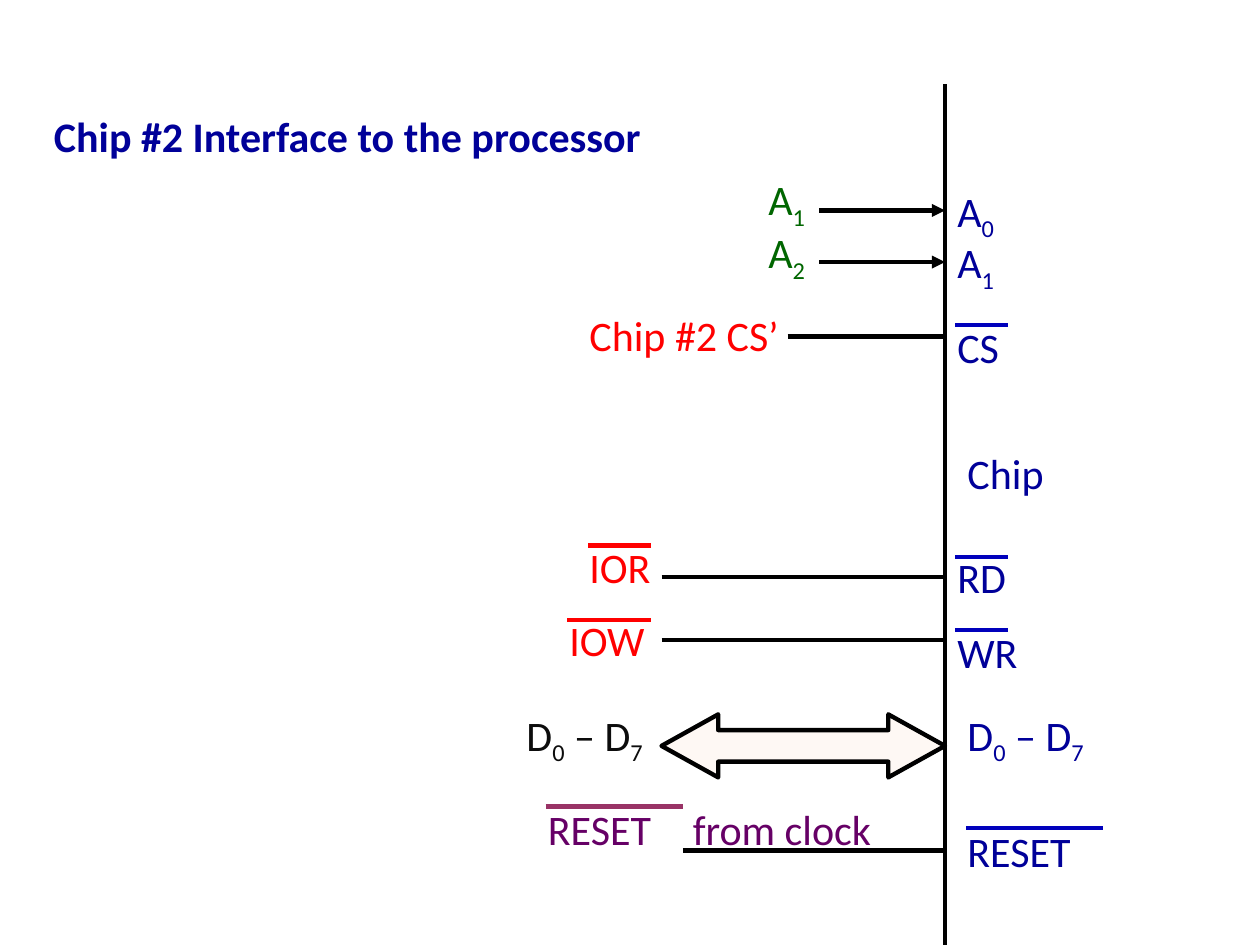
"""Build the slide on the chip #2 interface to the processor."""
from lxml import etree
from pptx import Presentation
from pptx.dml.color import RGBColor
from pptx.enum.shapes import MSO_CONNECTOR, MSO_SHAPE
from pptx.enum.text import MSO_AUTO_SIZE
from pptx.oxml.ns import qn
from pptx.util import Inches, Pt

STRAIGHT = MSO_CONNECTOR.STRAIGHT
LEFT_RIGHT_ARROW = MSO_SHAPE.LEFT_RIGHT_ARROW
FIT_TEXT = MSO_AUTO_SIZE.SHAPE_TO_FIT_TEXT

NAVY = RGBColor(0x00, 0x00, 0x99)
BLUE = RGBColor(0x00, 0x00, 0xBC)
GREEN = RGBColor(0x00, 0x66, 0x00)
RED = RGBColor(0xFF, 0x00, 0x00)
PURPLE = RGBColor(0x66, 0x00, 0x66)
PLUM = RGBColor(0x99, 0x33, 0x66)
INK = RGBColor(0x0C, 0x0C, 0x0C)
BLACK = RGBColor(0x00, 0x00, 0x00)
ORANGE = RGBColor(0xED, 0x7D, 0x31)

CHIP_EDGE = 7.5
LINE_WIDTH = Pt(2.5)


def write_text(text, left, top, width, color=NAVY, bold=False, tab=None):
    """Write a label in which an underscore lowers the next character."""
    label = slide.shapes.add_textbox(Inches(left), Inches(top), Inches(width), Inches(0.5))
    frame = label.text_frame
    frame.word_wrap = True
    frame.auto_size = FIT_TEXT
    paragraph = frame.paragraphs[0]
    if tab:
        stops = etree.SubElement(paragraph._p.get_or_add_pPr(), qn("a:tabLst"))
        etree.SubElement(stops, qn("a:tab"), pos=str(Inches(tab)), algn="l")
    first, *rest = text.split("_")
    pieces = [(first, False)]
    for piece in rest:
        pieces += [(piece[0], True), (piece[1:], False)]
    for piece, lowered in pieces:
        if piece:
            run = paragraph.add_run()
            run.text = piece
            run.font.name = "Calibri"
            run.font.size = Pt(24)
            run.font.bold = bold
            run.font.color.rgb = color
            if lowered:
                run.font._element.set("baseline", "-25000")


def draw_line(x1, y1, x2, y2, color=BLACK, arrow=False):
    """Draw a straight line, with an arrowhead at its end on request."""
    line = slide.shapes.add_connector(STRAIGHT, Inches(x1), Inches(y1), Inches(x2), Inches(y2))
    line.line.color.rgb = color
    line.line.width = LINE_WIDTH
    if arrow:
        etree.SubElement(line.line._get_or_add_ln(), qn("a:tailEnd"), type="triangle")
    etree.SubElement(line._element.spPr, qn("a:effectLst"))


presentation = Presentation()
presentation.slide_width = Inches(10)
presentation.slide_height = Inches(7.5)
slide = presentation.slides.add_slide(presentation.slide_layouts[6])

write_text("Chip #2 Interface to the processor", 0.33, 0.83, 6.92, bold=True)
draw_line(CHIP_EDGE, 0.67, CHIP_EDGE, 7.5)

for start, y, arrow in [
    (6.5, 1.67, True),
    (6.5, 2.08, True),
    (6.25, 2.67, False),
    (5.25, 4.58, False),
    (5.25, 5.08, False),
    (5.42, 6.75, False),
]:
    draw_line(start, y, CHIP_EDGE, y, arrow=arrow)

data_bus = slide.shapes.add_shape(
    LEFT_RIGHT_ARROW, Inches(5.25), Inches(5.67), Inches(2.25), Inches(0.5)
)
data_bus.shadow.inherit = False
data_bus.adjustments[0] = 0.5
data_bus.adjustments[1] = 0.9
data_bus.fill.solid()
data_bus.fill.fore_color.rgb = ORANGE
bus_color = data_bus._element.spPr.find(qn("a:solidFill"))[0]
etree.SubElement(bus_color, qn("a:alpha"), val="5000")
data_bus.line.color.rgb = BLACK
data_bus.line.width = LINE_WIDTH

for name, left, top, width in [
    ("A_0", 7.5, 1.42, 0.58),
    ("A_1", 7.5, 1.83, 0.58),
    ("CS", 7.5, 2.5, 1.17),
    ("Chip", 7.58, 3.5, 2.08),
    ("RD", 7.5, 4.33, 1.17),
    ("WR", 7.5, 4.92, 1.17),
    ("D_0 – D_7", 7.58, 5.58, 1.58),
    ("RESET", 7.58, 6.5, 1.58),
]:
    write_text(name, left, top, width)

for name, left, top, width, color in [
    ("A_1", 6, 1.33, 0.58, GREEN),
    ("A_2", 6, 1.75, 0.58, GREEN),
    ("Chip #2 CS’", 4.58, 2.41, 1.86, RED),
    ("IOR", 4.58, 4.25, 1.17, RED),
    ("IOW", 4.42, 4.83, 1.17, RED),
    ("D_0 – D_7", 4.08, 5.58, 1.58, INK),
]:
    write_text(name, left, top, width, color)
write_text("RESET\tfrom clock", 4.25, 6.33, 3.08, PURPLE, tab=1.15)

for left, right, y, color in [
    (7.58, 8, 2.58, BLUE),
    (7.58, 8, 4.42, BLUE),
    (7.58, 8, 5, BLUE),
    (7.67, 8.75, 6.57, BLUE),
    (4.67, 5.17, 4.33, RED),
    (4.5, 5.17, 4.92, RED),
    (4.33, 5.42, 6.4, PLUM),
]:
    draw_line(left, y, right, y, color)

presentation.save("out.pptx")
